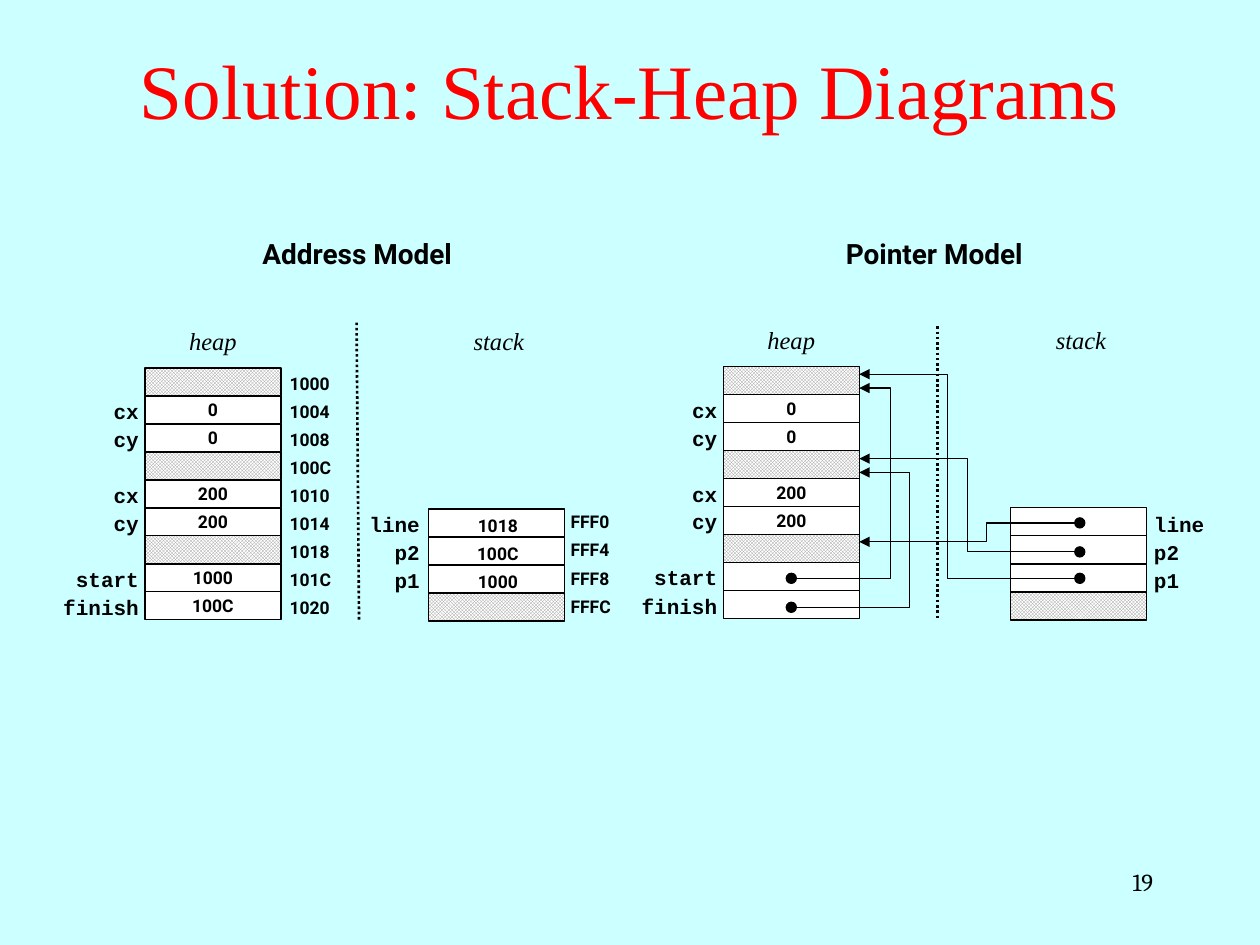
from lxml import etree
from pptx import Presentation
from pptx.dml.color import RGBColor
from pptx.enum.dml import MSO_LINE, MSO_PATTERN
from pptx.enum.shapes import MSO_CONNECTOR, MSO_SHAPE
from pptx.enum.text import MSO_ANCHOR, PP_ALIGN
from pptx.oxml.ns import qn
from pptx.util import Inches, Pt

LEFT, CENTER, RIGHT = PP_ALIGN.LEFT, PP_ALIGN.CENTER, PP_ALIGN.RIGHT
TOP, MIDDLE = MSO_ANCHOR.TOP, MSO_ANCHOR.MIDDLE
RECTANGLE, OVAL = MSO_SHAPE.RECTANGLE, MSO_SHAPE.OVAL
STRAIGHT, ELBOW = MSO_CONNECTOR.STRAIGHT, MSO_CONNECTOR.ELBOW
CHECKER, DOTTED = MSO_PATTERN.SMALL_CHECKER_BOARD, MSO_LINE.ROUND_DOT

COLORS = {"background": "CCFFFF", "title": "FF0000", "ink": "000000",
          "cell": "FFFFFF", "checker": "999999"}
STYLES = {
    "title": ("Times New Roman", 44, False, False, "title"),
    "heading": ("Roboto", 16, True, False, "ink"),
    "area": ("Times New Roman", 14, False, True, "ink"),
    "name": ("Courier New", 12, True, False, "ink"),
    "value": ("Roboto", 10, True, False, "ink"),
    "number": ("Cambria", 14, False, False, "ink"),
}

CELL_WIDTH, DOT = 1.08, 0.08
HEAP_HEIGHT, STACK_HEIGHT = 2.0, 0.89
HEAP_NAMES = ["", "cx", "cy", "", "cx", "cy", "", "start", "finish"]
HEAP_ADDRESSES = ["1000", "1004", "1008", "100C", "1010",
                  "1014", "1018", "101C", "1020"]
STACK_NAMES = ["line", "p2", "p1"]
STACK_ADDRESSES = ["FFF0", "FFF4", "FFF8", "FFFC"]
HEAP_VALUES = [None, "0", "0", None, "200", "200", None]


def color(name):
    """Return the named colour."""
    return RGBColor.from_string(COLORS[name])


def write(text_frame, text, style, align, anchor=TOP):
    """Put one styled paragraph into a text frame."""
    text_frame.text = text
    text_frame.vertical_anchor = anchor
    paragraph = text_frame.paragraphs[0]
    paragraph.alignment = align
    font = paragraph.runs[0].font
    font.name, size, font.bold, font.italic, ink = STYLES[style]
    font.size = Pt(size)
    font.color.rgb = color(ink)


def add_text(shapes, box, text, style, align=CENTER, anchor=TOP):
    """Add a wrapping text box."""
    text_box = shapes.add_textbox(*map(Inches, box))
    text_box.text_frame.word_wrap = True
    write(text_box.text_frame, text, style, align, anchor)


def add_labels(shapes, box, pitch, labels, style, align):
    """Stack labels downwards from the first box, skipping empty ones."""
    left, top, width, height = box
    for row, label in enumerate(labels):
        if label:
            add_text(shapes, (left, top + row * pitch, width, height),
                     label, style, align)


def add_outlined(shapes, kind, box, fill):
    """Add a thinly outlined shape with a solid fill."""
    shape = shapes.add_shape(kind, *map(Inches, box))
    shape.shadow.inherit = False
    shape.fill.solid()
    shape.fill.fore_color.rgb = color(fill)
    shape.line.color.rgb = color("ink")
    shape.line.width = Pt(0.75)
    return shape


def add_memory(shapes, box, values):
    """Divide a box into equal cells, hatching those whose value is None."""
    left, top, width, height = box
    pitch = height / len(values)
    for row, value in enumerate(values):
        cell = add_outlined(shapes, RECTANGLE,
                            (left, top + row * pitch, width, pitch), "cell")
        if value is None:
            cell.fill.patterned()
            cell.fill.pattern = CHECKER
            cell.fill.fore_color.rgb = color("checker")
            cell.fill.back_color.rgb = color("cell")
        elif value:
            cell.text_frame.word_wrap = False
            write(cell.text_frame, value, "value", CENTER, MIDDLE)
    return pitch


def add_line(shapes, kind, start, end, width):
    """Add a black connector without a shadow."""
    connector = shapes.add_connector(kind, *map(Inches, start + end))
    connector.line.color.rgb = color("ink")
    connector.line.width = Pt(width)
    etree.SubElement(connector._element.spPr, qn("a:effectLst"))
    return connector


def add_divider(shapes, start, end):
    """Add the dotted line between heap and stack."""
    add_line(shapes, STRAIGHT, start, end, 1.5).line.dash_style = DOTTED


def add_pointer(shapes, dot_left, exit_x, start_y, turn_x, end):
    """Add a dot and its elbow arrow, which turns at turn_x."""
    add_outlined(shapes, OVAL, (dot_left, start_y - DOT / 2, DOT, DOT), "ink")
    arrow = add_line(shapes, ELBOW, (exit_x, start_y), end, 0.75)
    turn = round((turn_x - exit_x) / (end[0] - exit_x) * 100000)
    guides = arrow._element.spPr.find(qn("a:prstGeom")).find(qn("a:avLst"))
    etree.SubElement(guides, qn("a:gd"), name="adj1", fmla=f"val {turn}")
    etree.SubElement(arrow.line._get_or_add_ln(), qn("a:tailEnd"),
                     type="triangle")


def add_heap(shapes, left, top, values):
    """Add the heap with its caption and the names to its left."""
    add_text(shapes, (left - 0.01, top - 0.38, 1.1, 0.33), "heap", "area")
    pitch = add_memory(shapes, (left, top, CELL_WIDTH, HEAP_HEIGHT), values)
    add_labels(shapes, (left - 0.87, top - 0.03, 0.92, 0.3), pitch,
               HEAP_NAMES, "name", RIGHT)
    return pitch


def add_stack(shapes, left, top, names_box, align):
    """Add the stack with its caption and names."""
    add_text(shapes, (left + 0.01, top - 1.5, 1.1, 0.33), "stack", "area")
    pitch = add_memory(shapes, (left, top, CELL_WIDTH, STACK_HEIGHT),
                       ["", "", "", None])
    add_labels(shapes, names_box, pitch, STACK_NAMES, "name", align)
    return pitch


def address_model(slide, left, top):
    """Draw the address model with its heap at the given corner."""
    add_text(slide.shapes, (left - 0.19, top - 1.09, 3.75, 0.37),
             "Address Model", "heading")
    shapes = slide.shapes.add_group_shape().shapes
    pitch = add_heap(shapes, left, top, HEAP_VALUES + ["1000", "100C"])
    add_labels(shapes, (left + 1.05, top - 0.01, 0.92, 0.27), pitch,
               HEAP_ADDRESSES, "value", LEFT)
    stack_left, stack_top = left + 2.25, top + 1.12
    pitch = add_stack(shapes, stack_left, stack_top,
                      (stack_left - 0.89, stack_top - 0.03, 0.92, 0.3), RIGHT)
    add_labels(shapes, (stack_left + 1.03, stack_top - 0.03, 0.92, 0.27),
               pitch, STACK_ADDRESSES, "value", LEFT)
    add_labels(shapes, (stack_left + 0.09, stack_top, 0.92, 0.27), pitch,
               ["1018", "100C", "1000"], "value", CENTER)
    add_divider(shapes, (left + 1.68, top - 0.36), (left + 1.7, top + 2.01))


def pointer_model(slide, left, top):
    """Draw the pointer model with its heap at the given corner."""
    add_text(slide.shapes, (left - 0.2, top - 1.08, 3.75, 0.37),
             "Pointer Model", "heading")
    shapes = slide.shapes.add_group_shape().shapes
    add_heap(shapes, left, top, HEAP_VALUES + ["", ""])
    stack_left, stack_top = left + 2.28, top + 1.12
    add_stack(shapes, stack_left, stack_top,
              (stack_left + 1.04, stack_top - 0.02, 0.61, 0.3), LEFT)
    add_divider(shapes, (left + 1.7, top - 0.32), (left + 1.7, top + 2.01))
    stack_dot, heap_dot = stack_left + 0.51, left + 0.5
    pointers = [
        (stack_dot, stack_dot, 1.68, 1.78, 0.06),
        (stack_dot, stack_dot, 1.47, 1.94, 0.73),
        (stack_dot, stack_dot, 1.24, 2.09, 1.39),
        (heap_dot, heap_dot + DOT, 1.68, 1.33, 0.17),
        (heap_dot, heap_dot + DOT, 1.91, 1.48, 0.84),
    ]
    for dot_left, exit_x, start_y, turn_x, end_y in pointers:
        add_pointer(shapes, dot_left, exit_x, top + start_y, left + turn_x,
                    (left + CELL_WIDTH, top + end_y))


def main():
    """Build and save the slide."""
    presentation = Presentation()
    presentation.slide_width, presentation.slide_height = Inches(10), Inches(7.5)
    slide = presentation.slides.add_slide(presentation.slide_layouts[6])
    slide.background.fill.solid()
    slide.background.fill.fore_color.rgb = color("background")
    add_text(slide.shapes, (0, 0.08, 10, 1.25),
             "Solution: Stack-Heap Diagrams", "title", anchor=MIDDLE)
    address_model(slide, 1.15, 2.92)
    pointer_model(slide, 5.74, 2.91)
    add_text(slide.shapes, (7.17, 6.83, 2.08, 0.5), "19", "number", RIGHT)
    presentation.save("out.pptx")


if __name__ == "__main__":
    main()
